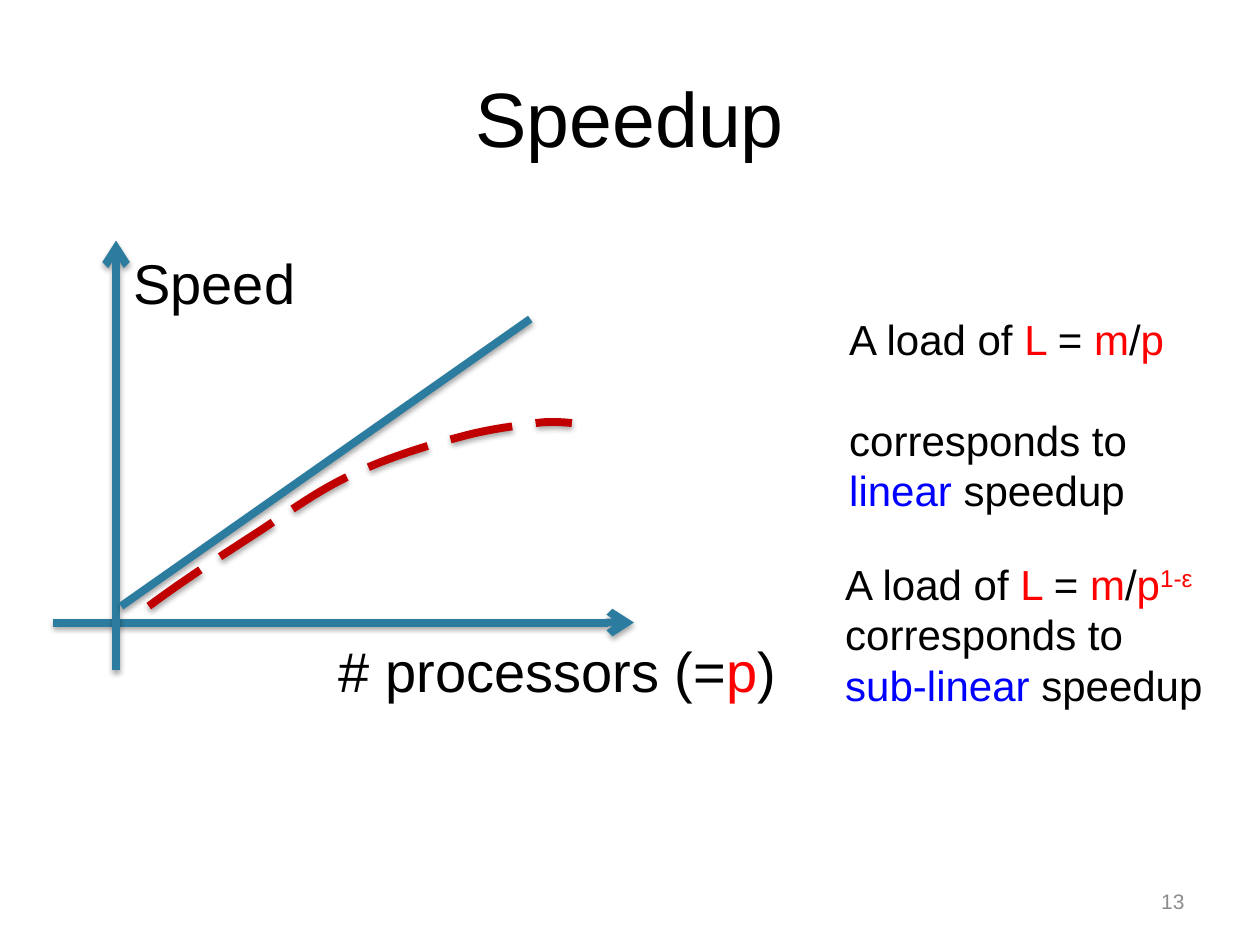
from lxml import etree
from pptx import Presentation
from pptx import util as u
from pptx.dml.color import RGBColor
from pptx.enum import dml, shapes, text
from pptx.oxml import parse_xml
from pptx.oxml.ns import nsdecls, qn

BLACK = RGBColor(0x00, 0x00, 0x00)
RED = RGBColor(0xFF, 0x00, 0x00)
BLUE = RGBColor(0x00, 0x00, 0xFF)
GRAY = RGBColor(0x8C, 0x8C, 0x8C)
TEAL = RGBColor(0x2C, 0x7C, 0x9F)
DARK = RGBColor(0xC0, 0x00, 0x00)

SHADE = (
    f'<a:effectLst {nsdecls("a")}>'
    '<a:outerShdw blurRad="40000" dist="23000" dir="5400000" rotWithShape="0">'
    '<a:srgbClr val="000000"><a:alpha val="35000"/></a:srgbClr>'
    '</a:outerShdw></a:effectLst>'
)

LOAD = [("A load of ", BLACK), ("L ", RED), ("= ", BLACK), ("m", RED),
        ("/", BLACK), ("p", RED)]

CURVE = [(1.93, 7.37),
         (2.66, 6.83), (3.43, 6.33), (4.11, 5.89),
         (4.80, 5.44), (5.38, 5.01), (6.07, 4.70),
         (6.75, 4.37), (7.59, 4.12), (8.20, 3.96),
         (8.81, 3.79), (9.34, 3.74), (9.73, 3.68),
         (10.08, 3.63), (10.46, 3.68), (10.46, 3.68)]


def set_font(para, size, color=BLACK):
    para.font.name = "Arial"
    para.font.size = u.Pt(size)
    para.font.color.rgb = color


def add_runs(para, runs):
    for words, color, *rise in runs:
        if words == "\n":
            para.add_line_break()
            continue
        run = para.add_run()
        run.text = words
        run.font.color.rgb = color
        if rise:
            run.font._element.set("baseline", str(rise[0] * 1000))


def add_text(parent, box, size, paras):
    shape = parent.add_textbox(*map(u.Cm, box))
    frame = shape.text_frame
    frame.word_wrap = True
    for i, runs in enumerate(paras):
        para = frame.add_paragraph() if i else frame.paragraphs[0]
        set_font(para, size)
        add_runs(para, runs)
    return frame


def style_line(shape, color, arrow=False):
    shape.line.color.rgb = color
    shape.line.width = u.Pt(4.5)
    if arrow:
        etree.SubElement(shape.line._get_or_add_ln(), qn("a:tailEnd"), type="arrow")
    shape._element.spPr.append(parse_xml(SHADE))


def bezier(knots, steps=12):
    points = [knots[0]]
    for i in range(0, len(knots) - 1, 3):
        a, b, c, d = knots[i:i + 4]
        for k in range(1, steps + 1):
            t = k / steps
            s = 1 - t
            points.append(tuple(
                s**3 * a[n] + 3 * s * s * t * b[n] + 3 * s * t * t * c[n] + t**3 * d[n]
                for n in (0, 1)))
    return points


def add_title(slide, box):
    title = slide.shapes.title
    title.left, title.top, title.width, title.height = map(u.Cm, box)
    title.text_frame.text = "Speedup"
    title.text_frame.vertical_anchor = text.MSO_ANCHOR.MIDDLE
    para = title.text_frame.paragraphs[0]
    para.alignment = text.PP_ALIGN.CENTER
    set_font(para, 44)


def add_plot(slide, box):
    left, top, width, height = box
    group = slide.shapes.add_group_shape().shapes

    def at(x, y):
        return u.Cm(left + x), u.Cm(top + y)

    lines = [((0, 7.7), (width, 7.7), True),
             ((1.27, height), (1.27, 0), True),
             ((1.37, 7.37), (9.62, 1.58), False)]
    for start, end, arrow in lines:
        line = group.add_connector(
            shapes.MSO_CONNECTOR.STRAIGHT, *at(*start), *at(*end))
        style_line(line, TEAL, arrow)

    add_text(group, (left + 5.51, top + 7.85, 9.42, 1.63), 32,
             [[("# processors (=", BLACK), ("p", RED), (")", BLACK)]])
    add_text(group, (left + 1.37, top + 0.03, 3.81, 1.63), 32,
             [[("Speed", BLACK)]])

    points = [at(*point) for point in bezier(CURVE)]
    pen = group.build_freeform(*points[0])
    pen.add_line_segments(points[1:], close=False)
    curve = pen.convert_to_shape()
    curve.fill.background()
    curve.line.dash_style = dml.MSO_LINE.LONG_DASH
    style_line(curve, DARK)


def add_note(slide, box, paras, gap=0):
    frame = add_text(slide.shapes, box, 24, paras)
    for i, para in enumerate(frame.paragraphs):
        para.line_spacing = u.Pt(28.8)
        para.space_before = u.Pt(gap if i else 0)


def add_number(slide, box):
    frame = add_text(slide.shapes, box, 12, [[("13", GRAY)]])
    frame.vertical_anchor = text.MSO_ANCHOR.MIDDLE
    frame.paragraphs[0].alignment = text.PP_ALIGN.RIGHT


def main():
    deck = Presentation()
    deck.slide_width, deck.slide_height = u.Cm(25.4), u.Cm(19.05)
    slide = deck.slides.add_slide(deck.slide_layouts[5])
    add_title(slide, (1.27, 0.76, 22.86, 3.18))
    add_number(slide, (18.21, 17.65, 5.92, 1.02))
    add_plot(slide, (1.07, 4.85, 11.71, 8.66))
    wrap = ("\n", BLACK)
    match = [("corresponds to", BLACK), wrap]
    add_note(slide, (16.87, 6.2, 6.96, 3.33),
             [LOAD, match + [("linear", BLUE), (" speedup", BLACK)]], gap=28.8)
    add_note(slide, (16.79, 11.13, 7.82, 3.33),
             [LOAD + [("1-ε", RED, 30), wrap] + match
              + [("sub-linear ", BLUE), ("speedup", BLACK)]])
    deck.save("out.pptx")


if __name__ == "__main__":
    main()
